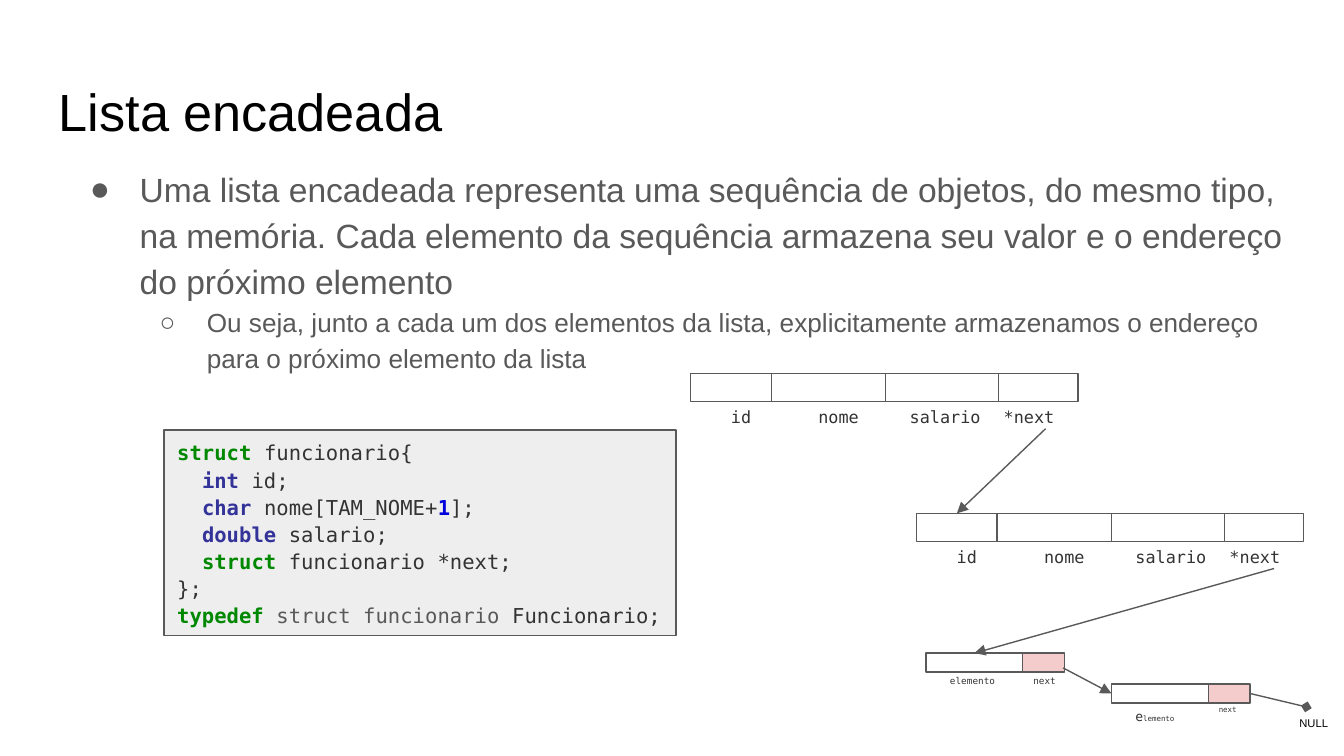
"""Build a slide that explains linked lists with a struct and chained records."""
from lxml.etree import SubElement
from pptx import Presentation
from pptx.dml.color import RGBColor
from pptx.enum.shapes import MSO_CONNECTOR, MSO_SHAPE
from pptx.enum.text import MSO_ANCHOR, MSO_AUTO_SIZE, PP_ALIGN
from pptx.oxml.ns import qn
from pptx.util import Inches, Pt

COLORS = {
    "black": "000000", "gray": "595959", "panel": "EEEEEE", "code": "333333",
    "key": "008800", "type": "333399", "num": "0000DD", "pink": "F4CCCC",
}
SANS, MONO = "Arial", "DejaVu Sans Mono"
TITLE = "Lista encadeada"
BULLETS = [
    ("Uma lista encadeada representa uma sequência de objetos, do mesmo tipo, "
     "na memória. Cada elemento da sequência armazena seu valor e o endereço "
     "do próximo elemento", 18, "●", 0.5, -0.37),
    ("Ou seja, junto a cada um dos elementos da lista, explicitamente "
     "armazenamos o endereço para o próximo elemento da lista", 14, "○", 1, -0.35),
]
CODE = [
    [("struct", "key"), (" funcionario{", "code")],
    [("  ", "code"), ("int", "type"), (" id;", "code")],
    [("  ", "code"), ("char", "type"), (" nome[TAM_NOME+", "code"),
     ("1", "num"), ("];", "code")],
    [("  ", "code"), ("double", "type"), (" salario;", "code")],
    [("  ", "code"), ("struct", "key"), (" funcionario *next;", "code")],
    [("};", "code")],
    [("typedef ", "key"), ("struct funcionario ", "gray"), ("Funcionario;", "code")],
]
BOLD = {"key", "type", "num"}
FIELDS = [
    ("id", 0.6, 0.2, 0.36), ("nome", 0.85, 0.85, 0.59),
    ("salario", 0.84, 1.53, 0.76), ("*next", 0.59, 2.23, 0.84),
]
RECORDS = [(5.14, 2.78), (6.82, 3.82)]
NODES = [
    (6.89, 4.86, [("elemento", 5)], [("next", 5)]),
    (8.27, 5.09, [("e", 7), ("lemento", 4)], [("next", 4)]),
]

deck = Presentation()
deck.slide_width = Inches(10)
deck.slide_height = deck.slide_width * 9 // 16
slide = deck.slides.add_slide(deck.slide_layouts[6])
shapes = slide.shapes


def color(name):
    return RGBColor.from_string(COLORS[name])


def add_run(para, text, size, tint, font=MONO, bold=False):
    run = para.add_run()
    run.text = text
    run.font.size, run.font.name, run.font.bold = Pt(size), font, bold
    run.font.color.rgb = color(tint)


def set_frame(frame, pad=0.1):
    frame.word_wrap = True
    frame.margin_left = frame.margin_right = Inches(0.1)
    frame.margin_top = frame.margin_bottom = Inches(pad)
    return frame


def add_text(left, top, width, height, pad=0.1):
    box = shapes.add_textbox(Inches(left), Inches(top), Inches(width), Inches(height))
    return set_frame(box.text_frame, pad)


def add_label(left, top, width, height, runs):
    frame = add_text(left, top, width, height)
    frame.auto_size = MSO_AUTO_SIZE.SHAPE_TO_FIT_TEXT
    for text, size in runs:
        add_run(frame.paragraphs[0], text, size, "code")


def add_rect(left, top, width, height, fill=None):
    rect = shapes.add_shape(MSO_SHAPE.RECTANGLE, Inches(left), Inches(top),
                            Inches(width), Inches(height))
    rect.shadow.inherit = False
    if fill:
        rect.fill.solid()
        rect.fill.fore_color.rgb = color(fill)
    else:
        rect.fill.background()
    rect.line.color.rgb = color("gray")
    rect.line.width = Pt(0.75)
    return rect


def add_link(start, end, head="triangle"):
    link = shapes.add_connector(MSO_CONNECTOR.STRAIGHT,
                                *[Inches(n) for n in start + end])
    link.line.color.rgb = color("gray")
    link.line.width = Pt(0.75)
    SubElement(link.line._get_or_add_ln(), qn("a:tailEnd"), type=head)
    SubElement(link._element.spPr, qn("a:effectLst"))
    return link


def add_record(left, top):
    cells, edge = [], left
    for name, width, shift, room in FIELDS:
        cells.append(add_rect(edge, top, width, 0.21))
        add_label(left + shift, top + 0.17, room, 0.24, [(name, 9)])
        edge += width
    return cells


def add_node(left, top, value, after):
    tail = add_rect(left + 0.72, top, 0.31, 0.14, "pink")
    head = add_rect(left, top, 0.72, 0.14)
    add_label(left + 0.08, top + 0.12, 0.54, 0.16, value)
    add_label(left + 0.7, top + 0.12, 0.37, 0.16, after)
    return head, tail


title = add_text(0.34, 0.49, 9.32, 0.63)
add_run(title.paragraphs[0], TITLE, 28, "black", SANS)

body = add_text(0.44, 1.11, 9.32, 3.74)
for level, (text, size, mark, margin, indent) in enumerate(BULLETS):
    para = body.add_paragraph() if level else body.paragraphs[0]
    para.level, para.line_spacing = level, 1.15
    props = para._p.get_or_add_pPr()
    props.set("marL", str(Inches(margin)))
    props.set("indent", str(Inches(indent)))
    tint = SubElement(props, qn("a:buClr"))
    SubElement(tint, qn("a:srgbClr"), val=COLORS["gray"])
    SubElement(props, qn("a:buFont"), typeface=SANS)
    SubElement(props, qn("a:buChar"), char=mark)
    add_run(para, text, size, "gray", SANS)

panel = set_frame(add_rect(1.22, 3.2, 3.81, 1.53, "panel").text_frame)
panel.vertical_anchor = MSO_ANCHOR.MIDDLE
for row, parts in enumerate(CODE):
    para = panel.add_paragraph() if row else panel.paragraphs[0]
    para.alignment, para.line_spacing = PP_ALIGN.LEFT, 1.1
    for text, tint in parts:
        add_run(para, text, 11, tint, bold=tint in BOLD)

first, second = [add_record(*spot) for spot in RECORDS]
third, fourth = [add_node(*node) for node in NODES]

add_link((7.78, 3.19), (7.11, 3.82)).end_connect(second[0], 0)
add_link((9.48, 4.23), (7.25, 4.86)).end_connect(third[0], 0)
add_link((7.91, 4.97), (8.27, 5.16)).end_connect(fourth[0], 1)
add_link((9.3, 5.16), (9.72, 5.26), "diamond").begin_connect(fourth[1], 3)

null = add_text(9.57, 5.28, 0.43, 0.19, 0.05)
add_run(null.paragraphs[0], "NULL", 6, "black", SANS)

deck.save("out.pptx")
